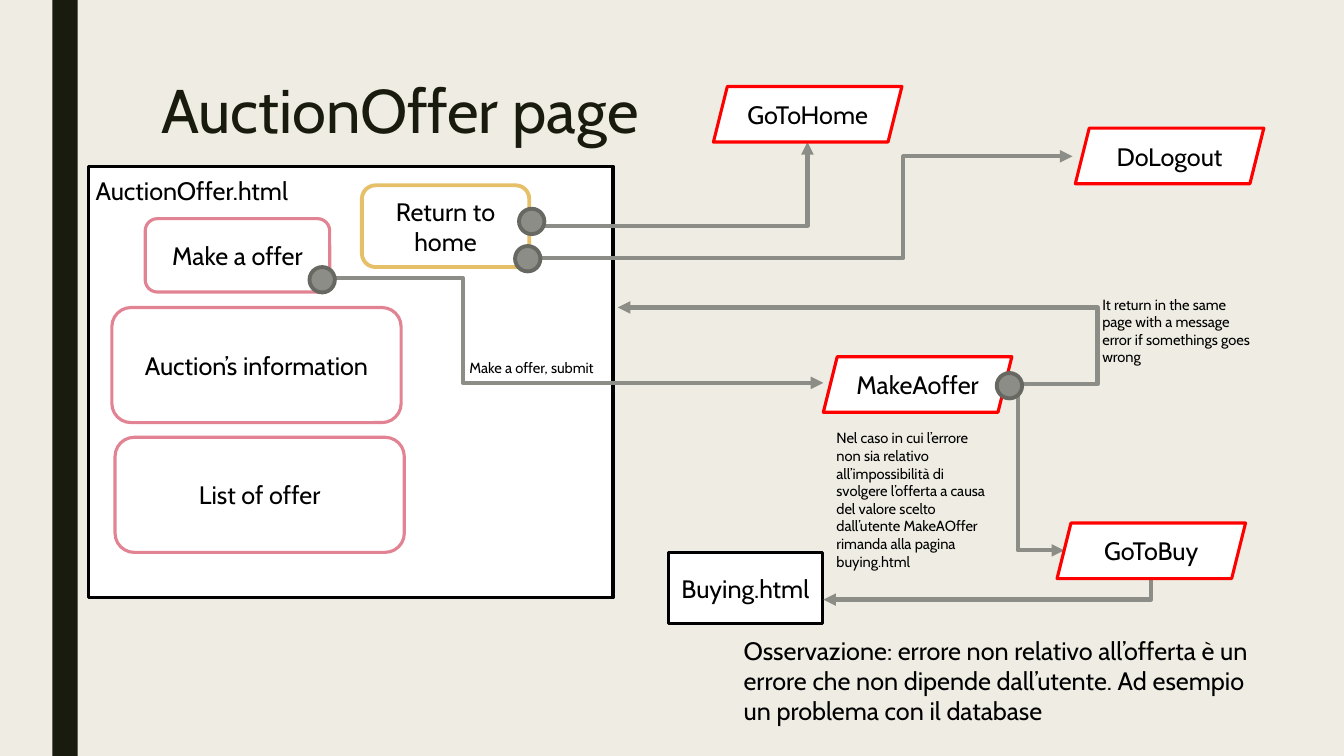
"""Builds the AuctionOffer page flow slide."""
import dataclasses

import lxml.etree
import pptx
import pptx.dml.color
import pptx.enum.shapes
import pptx.enum.text
import pptx.oxml.ns
import pptx.util

Cm = pptx.util.Cm
Pt = pptx.util.Pt
Preset = pptx.enum.shapes.MSO_SHAPE
Align = pptx.enum.text.PP_ALIGN
Anchor = pptx.enum.text.MSO_ANCHOR


@dataclasses.dataclass(frozen=True)
class Theme:
    font: str = "Cabin"
    background: str = "EFEDE3"
    dark: str = "191B0E"
    paper: str = "FFFFFF"
    ink: str = "000000"
    section: str = "E28394"
    button: str = "E6C069"
    servlet: str = "FF0000"
    flow: str = "8C8D86"
    dot_edge: str = "686863"
    title_size: float = 44
    text_size: float = 18
    note_size: float = 10.5
    outline: float = 2.25
    heavy_outline: float = 2.75
    flow_width: float = 3


class FlowSlide:
    def __init__(self, presentation, theme):
        self.theme = theme
        self.slide = presentation.slides.add_slide(presentation.slide_layouts[5])
        fill = self.slide.background.fill
        fill.solid()
        fill.fore_color.rgb = self.color(theme.background)

    def color(self, value):
        return pptx.dml.color.RGBColor.from_string(value)

    def add_text(self, paragraph, text, size, color):
        run = paragraph.add_run()
        run.text = text
        run.font.name = self.theme.font
        run.font.size = Pt(size)
        run.font.color.rgb = self.color(color)

    def title(self, text, left, top, width, height):
        shape = self.slide.shapes.title
        shape.left, shape.top = Cm(left), Cm(top)
        shape.width, shape.height = Cm(width), Cm(height)
        frame = shape.text_frame
        frame.vertical_anchor = Anchor.TOP
        frame.auto_size = pptx.enum.text.MSO_AUTO_SIZE.NONE
        paragraph = frame.paragraphs[0]
        paragraph.alignment = Align.LEFT
        paragraph.line_spacing = 0.89
        self.add_text(paragraph, text, self.theme.title_size, self.theme.dark)

    def box(self, preset, left, top, width, height, fill, line=None, weight=None, text=None):
        shape = self.slide.shapes.add_shape(preset, Cm(left), Cm(top), Cm(width), Cm(height))
        shape.shadow.inherit = False
        shape.fill.solid()
        shape.fill.fore_color.rgb = self.color(fill)
        if line:
            shape.line.color.rgb = self.color(line)
            shape.line.width = Pt(weight or self.theme.outline)
        else:
            shape.line.fill.background()
        if text:
            frame = shape.text_frame
            frame.vertical_anchor = Anchor.MIDDLE
            paragraph = frame.paragraphs[0]
            paragraph.alignment = Align.CENTER
            self.add_text(paragraph, text, self.theme.text_size, self.theme.ink)

    def note(self, text, left, top, width, height, size):
        shape = self.slide.shapes.add_textbox(Cm(left), Cm(top), Cm(width), Cm(height))
        shape.text_frame.word_wrap = True
        self.add_text(shape.text_frame.paragraphs[0], text, size, self.theme.ink)

    def dot(self, left, top):
        self.box(Preset.OVAL, left, top, 0.64, 0.64, self.theme.flow,
                 self.theme.dot_edge, self.theme.heavy_outline)

    def arrow(self, start, end, bend=None):
        connector = self.slide.shapes.add_connector(
            pptx.enum.shapes.MSO_CONNECTOR.ELBOW, *map(Cm, start + end))
        connector.line.color.rgb = self.color(self.theme.flow)
        connector.line.width = Pt(self.theme.flow_width)
        qn = pptx.oxml.ns.qn
        properties = connector.element.spPr
        geometry = properties.find(qn("a:prstGeom"))
        if bend is None:
            geometry.set("prst", "bentConnector2")
        else:
            guide = lxml.etree.SubElement(geometry.find(qn("a:avLst")), qn("a:gd"))
            guide.set("name", "adj1")
            guide.set("fmla", f"val {round(bend * 100000)}")
        head = lxml.etree.SubElement(properties.find(qn("a:ln")), qn("a:tailEnd"))
        head.set("type", "triangle")
        lxml.etree.SubElement(properties, qn("a:effectLst"))


def main():
    theme = Theme()
    presentation = pptx.Presentation()
    presentation.slide_width, presentation.slide_height = Cm(33.87), Cm(19.05)
    page = FlowSlide(presentation, theme)

    page.box(Preset.RECTANGLE, 1.32, 0, 0.64, 19.05, theme.dark)
    page.title("AuctionOffer page", 3.81, 1.9, 26.67, 4.11)

    page.box(Preset.RECTANGLE, 2.24, 4.19, 13.21, 10.87, theme.paper, theme.ink)
    page.note("AuctionOffer.html", 2.16, 4.29, 5.46, 1.02, theme.text_size)
    for text, left, top, width, height in (
        ("Auction’s information", 2.82, 7.75, 7.29, 2.9),
        ("List of offer", 2.9, 11.02, 7.29, 2.9),
        ("Make a offer", 3.66, 5.51, 4.65, 1.85),
    ):
        page.box(Preset.ROUNDED_RECTANGLE, left, top, width, height,
                 theme.paper, theme.section, text=text)
    page.box(Preset.ROUNDED_RECTANGLE, 9.12, 4.67, 4.22, 2.06, theme.paper,
             theme.button, theme.heavy_outline, "Return to home")
    page.box(Preset.RECTANGLE, 16.84, 13.92, 3.89, 1.8, theme.paper, theme.ink,
             text="Buying.html")

    for start, end, bend in (
        ((13.31, 5.69), (20.35, 3.58), None),
        ((13.28, 6.5), (27.03, 3.94), 0.69),
        ((8.31, 7.01), (20.75, 9.65), 0.27),
        ((25.32, 9.68), (15.57, 7.75), -0.24),
        ((25.65, 9.93), (26.82, 13.87), 0),
        ((29.01, 14.58), (20.75, 15.11), 0),
    ):
        page.arrow(start, end, bend)

    for text, left, top in (
        ("GoToHome", 17.98, 2.18),
        ("DoLogout", 27.1, 3.23),
        ("MakeAoffer", 20.75, 8.99),
        ("GoToBuy", 26.64, 13.18),
    ):
        page.box(Preset.PARALLELOGRAM, left, top, 4.75, 1.4,
                 theme.paper, theme.servlet, text=text)
    for left, top in ((13.08, 5.26), (12.98, 6.2), (7.8, 6.73), (25.12, 9.4)):
        page.dot(left, top)

    for text, left, top, height in (
        ("Make a offer, submit", 11.58, 8.92, 0.71),
        ("It return in the same page with a message error if somethings goes wrong",
         27.53, 7.32, 2.06),
        ("Nel caso in cui l’errore non sia relativo all’impossibilità di svolgere "
         "l’offerta a causa del valore scelto dall’utente MakeAOffer rimanda alla "
         "pagina buying.html", 20.83, 10.69, 3.84),
    ):
        page.note(text, left, top, 4.32, height, theme.note_size)
    page.note("Osservazione: errore non relativo all’offerta è un errore che non dipende "
              "dall’utente. Ad esempio un problema con il database",
              18.49, 15.88, 13.87, 2.57, theme.text_size)

    presentation.save("out.pptx")


if __name__ == "__main__":
    main()
